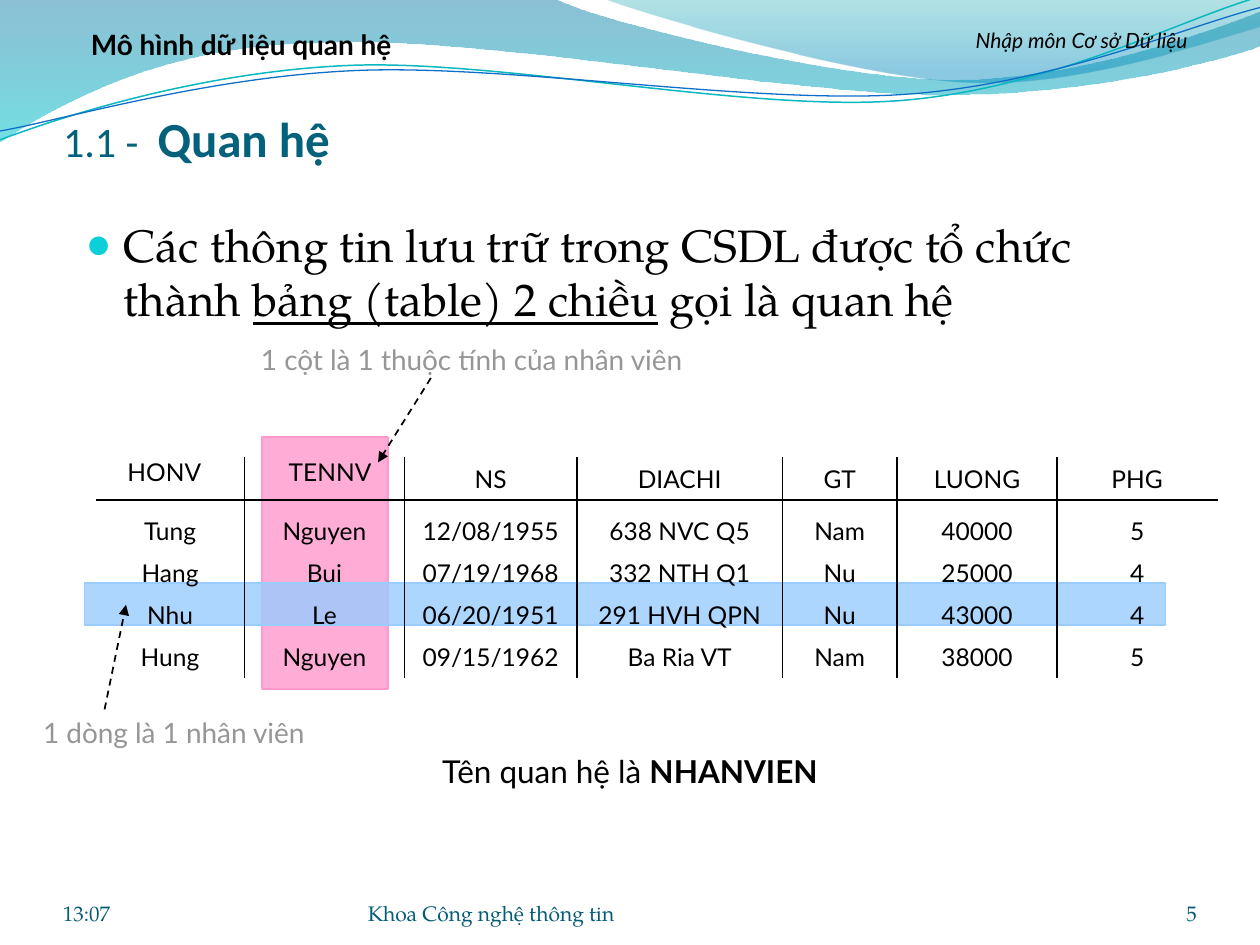
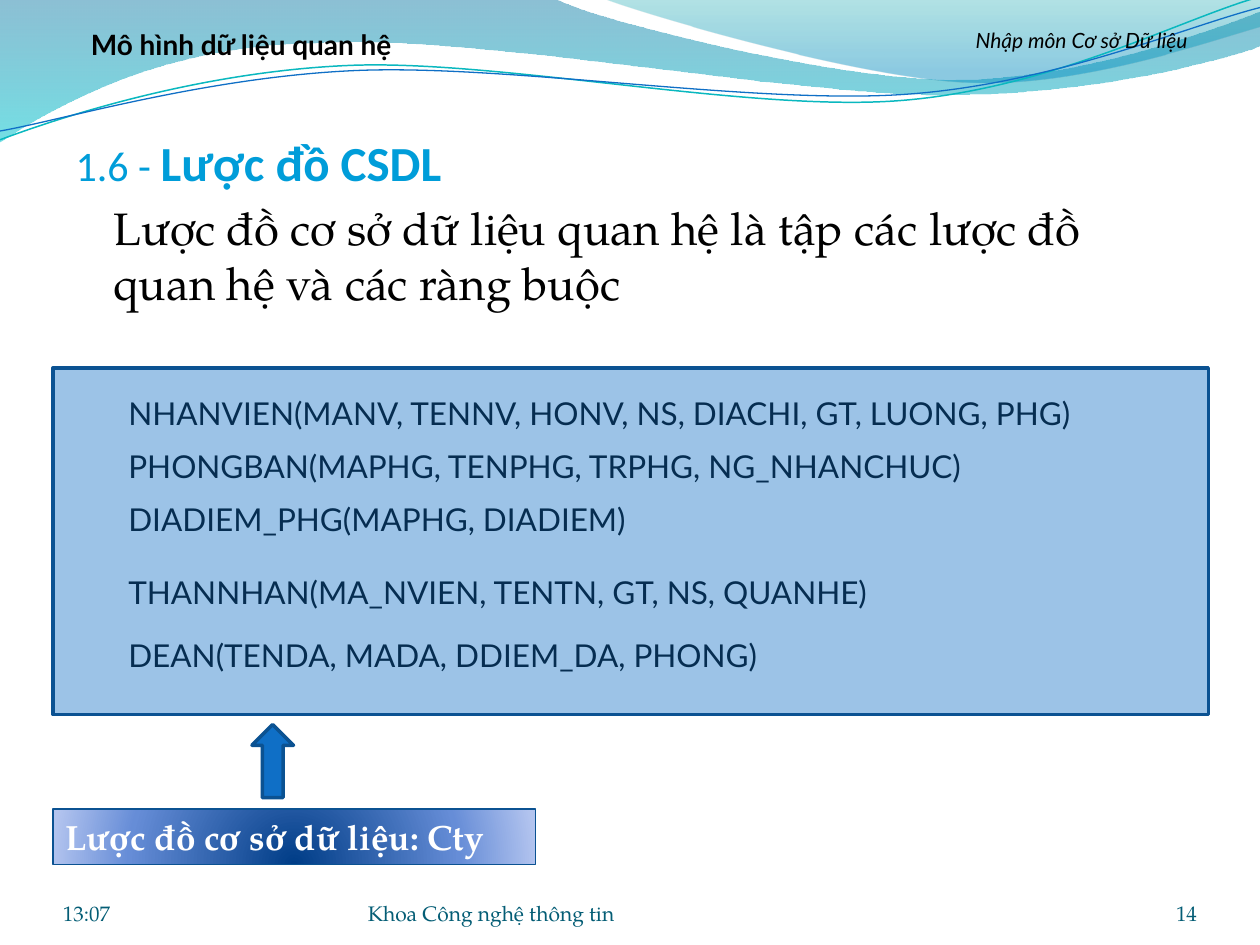
from lxml import etree
from pptx import Presentation
from pptx.dml.color import RGBColor
from pptx.enum.dml import MSO_LINE
from pptx.enum.shapes import MSO_CONNECTOR, MSO_SHAPE
from pptx.enum.text import MSO_ANCHOR, MSO_AUTO_SIZE, PP_ALIGN
from pptx.oxml import parse_xml
from pptx.oxml.ns import nsdecls, qn
from pptx.util import Inches, Pt

LEFT, CENTER, RIGHT = PP_ALIGN.LEFT, PP_ALIGN.CENTER, PP_ALIGN.RIGHT
TOP, BOTTOM = MSO_ANCHOR.TOP, MSO_ANCHOR.BOTTOM
DASH, STRAIGHT = MSO_LINE.DASH, MSO_CONNECTOR.STRAIGHT
RECT, ARROW = MSO_SHAPE.RECTANGLE, MSO_SHAPE.UP_ARROW
NO_FIT = MSO_AUTO_SIZE.NONE

BLACK = RGBColor(0x00, 0x00, 0x00)
WHITE = RGBColor(0xFF, 0xFF, 0xFF)
GRAY = RGBColor(0x96, 0x96, 0x96)
TEAL = RGBColor(0x04, 0x61, 0x7B)
SKY = RGBColor(0x00, 0x9D, 0xD9)
FOOT = RGBColor(0x04, 0x5D, 0x75)
AQUA = RGBColor(0x0A, 0xB8, 0xBF)
BLUE = RGBColor(0x0F, 0x6F, 0xC6)
NAVY = RGBColor(0x0B, 0x52, 0x92)
PINK = RGBColor(0xFF, 0x99, 0xCC)
PALE = RGBColor(0x99, 0xCC, 0xFF)
SANS, SERIF, HEAD = "Lato", "TeX Gyre Pagella", "Calibri"


def write(slide, box, text, size, font=SANS, color=BLACK, align=CENTER, foot=False):
    """Add a one-paragraph text box and return its paragraph."""
    frame = slide.shapes.add_textbox(*map(Inches, box)).text_frame
    frame.word_wrap = True
    if foot:
        frame.vertical_anchor = BOTTOM
        frame.margin_left = frame.margin_right = 0
        frame.margin_top = frame.margin_bottom = 0
    para = frame.paragraphs[0]
    para.add_run().text = text
    para.alignment = align
    para.font.size, para.font.name = Pt(size), font
    para.font.color.rgb = color
    return para


def paint(shape, stops, aim=""):
    """Fill with (place, colour, opacity) stops; one stop gives a plain fill."""
    inks = [f'<a:srgbClr val="{ink}"><a:alpha val="{alpha * 1000}"/></a:srgbClr>'
            for _, ink, alpha in stops]
    if len(stops) == 1:
        xml = f'<a:solidFill {nsdecls("a")}>{inks[0]}</a:solidFill>'
    else:
        marks = "".join(f'<a:gs pos="{stop[0] * 1000}">{ink}</a:gs>'
                        for stop, ink in zip(stops, inks))
        xml = f'<a:gradFill {nsdecls("a")}><a:gsLst>{marks}</a:gsLst>{aim}</a:gradFill>'
    shape.fill.background()
    props = shape.element.spPr
    props.replace(props.find(qn("a:noFill")), parse_xml(xml))
    shape.shadow.inherit = False


prs = Presentation()
prs.slide_width, prs.slide_height = Inches(10), Inches(7.5)
first = prs.slides.add_slide(prs.slide_layouts[1])
second = prs.slides.add_slide(prs.slide_layouts[1])

# Waves on the master: a pair is a line end, six numbers are a Bezier curve
DOWN = '<a:lin ang="5400000" scaled="1"/>'
WAVES = [
    ((-0.01, -0.01, 10.02, 1.14),
     [(0, -0.01), (4.4, -0.01), (4.76, 0.17, 6.64, 0.63, 7.58, 0.63),
      (8.53, 0.63, 9.58, 0.26, 10, 0.09), (10.01, 0.36),
      (9.83, 0.44, 8.7, 0.76, 7.46, 0.75), (6.22, 0.75, 3.82, 0.28, 2.57, 0.34),
      (1.29, 0.35, 0.46, 0.83, -0.01, 1.13), (0, -0.01)],
     [(0, "0074A1", 45), (100, "00C6CF", 55)], None, 0),
    ((4.79, -0.01, 5.21, 0.7),
     [(4.79, -0.01), (5.09, 0.11, 6.82, 0.62, 7.69, 0.65),
      (8.56, 0.69, 9.61, 0.32, 10, 0.21), (10, 0), (4.79, -0.01)],
     [(0, "00A1A9", 30), (80, "008BBF", 45)], None, 0),
    ((0, -0.02, 9.98, 1.13),
     [(0, 1.11), (0.48, 0.93, 1.58, 0.57, 2.77, 0.52),
      (3.95, 0.47, 5.93, 0.89, 7.13, 0.8), (8.33, 0.71, 9.38, 0.15, 9.98, -0.02)],
     None, AQUA, 0.85),
    ((0, 0.06, 10, 0.98),
     [(0, 1.04), (0.47, 0.96, 1.64, 0.61, 2.83, 0.56),
      (4.03, 0.51, 5.97, 0.83, 7.17, 0.75), (8.36, 0.67, 9.41, 0.21, 10, 0.06)],
     None, BLUE, 0.75),
]
tree = prs.slide_master.shapes.element
for n, (box, steps, stops, ink, width) in enumerate(WAVES):
    ends = [(Inches(step[-2]), Inches(step[-1])) for step in steps]
    pen = first.shapes.build_freeform(*ends[0])
    pen.add_line_segments(ends[1:], close=False)
    wave = pen.convert_to_shape()
    wave.left, wave.top, wave.width, wave.height = map(Inches, box)

    # Bend the straight steps into curves
    route = wave.element.spPr.find(".//" + qn("a:path"))
    route.set("w", str(wave.width))
    route.set("h", str(wave.height))
    for part, step in zip(list(route), steps):
        bend = etree.Element(qn("a:cubicBezTo")) if len(step) == 6 else part
        for dot in list(bend):
            bend.remove(dot)
        for x, y in zip(step[::2], step[1::2]):
            etree.SubElement(bend, qn("a:pt"), x=str(Inches(x) - wave.left),
                             y=str(Inches(y) - wave.top))
        if bend is not part:
            route.replace(part, bend)
    if stops:
        etree.SubElement(route, qn("a:close"))
        paint(wave, stops, DOWN)
        wave.line.fill.background()
    else:
        wave.fill.background()
        wave.line.color.rgb, wave.line.width = ink, Pt(width)
        wave.shadow.inherit = False
    wave.element[0][0].set("id", str(20 + n))
    tree.insert(2 + n, wave.element)

# Titles and lists; the second heading leads its list
title, body = first.placeholders
head, lead = second.placeholders
head.element.getparent().remove(head.element)
for holder, box, anchor in ((title, (0.5, 0.83, 9, 0.5), BOTTOM),
                            (body, (0.58, 1.67, 9, 5.29), TOP),
                            (lead, (0.5, 1, 9, 1.5), TOP)):
    holder.left, holder.top, holder.width, holder.height = map(Inches, box)
    holder.text_frame.auto_size = NO_FIT
    holder.text_frame.vertical_anchor = anchor
frame = title.text_frame
frame.margin_left = frame.margin_right = frame.margin_bottom = 0
title.text_frame.paragraphs[0].alignment = LEFT

topic = body.text_frame.paragraphs[0]
name = lead.text_frame.paragraphs[0]
text = lead.text_frame.add_paragraph()
for para, indent in ((topic, -0.3), (name, -0.3), (text, 0)):
    props = para._p.get_or_add_pPr()
    props.set("marL", str(Inches(0.3)))
    props.set("indent", str(Inches(indent)))
    if para is not text:
        para.space_before = Pt(0)
    if para is topic:
        ink = etree.SubElement(props, qn("a:buClr"))
        etree.SubElement(ink, qn("a:srgbClr"), val="0BD0D9")
        etree.SubElement(props, qn("a:buSzPct"), val="95000")
        etree.SubElement(props, qn("a:buChar"), char="●")
    else:
        etree.SubElement(props, qn("a:buNone"))

for para, ink, mark, words in ((frame.paragraphs[0], TEAL, "1.1 -  ", "Quan hệ"),
                               (name, SKY, "1.6 - ", "Lược đồ CSDL")):
    para.font.name, para.font.color.rgb = HEAD, ink
    for part, size, bold in ((mark, 24, False), (words, 28, True)):
        run = para.add_run()
        run.text, run.font.size, run.font.bold = part, Pt(size), bold

for para, parts in (
        (topic, ["Các thông tin lưu trữ trong CSDL được tổ chức thành ",
                 "bảng (table) 2 chiều", " gọi là quan hệ"]),
        (text, ["Lược đồ cơ sở dữ liệu quan hệ là tập các lược đồ "
                "quan hệ và các ràng buộc"])):
    para.font.name, para.font.size, para.font.color.rgb = SERIF, Pt(26), BLACK
    for k, part in enumerate(parts):
        run = para.add_run()
        run.text = part
        if k == 1:
            run.font.underline = True

# Headers and footers
for slide, page in ((first, "5"), (second, "14")):
    write(slide, (7.17, 0.17, 2.83, 0.38), "Nhập môn Cơ sở Dữ liệu", 12).font.italic = True
    write(slide, (0.25, 0.17, 3.33, 0.37), "Mô hình dữ liệu quan hệ", 16).font.bold = True
    for x, width, label, align in ((0.5, 2.33, "13:07", LEFT),
                                   (2.92, 3.67, "Khoa Công nghệ thông tin", LEFT),
                                   (8.67, 0.83, page, RIGHT)):
        write(slide, (x, 6.95, width, 0.4), label, 12, SERIF, FOOT, align, foot=True)

# Slide 1: marked column and row, with their notes
NOTES = [
    ((2.08, 3.47, 1, 2), PINK, (1.83, 2.67, 3.83, 0.37),
     "1 cột là 1 thuộc tính của nhân viên"),
    ((0.67, 4.63, 8.58, 0.33), PALE, (0.17, 5.63, 2.42, 0.37),
     "1 dòng là 1 nhân viên"),
]
for box, ink, spot, note in NOTES:
    band = first.shapes.add_shape(RECT, *map(Inches, box))
    paint(band, [(0, ink, 80)])
    band.line.color.rgb, band.line.width = ink, Pt(1)
    write(first, spot, note, 16, color=GRAY)

# Slide 1: dashed arrows and the rules between heads, rows and columns
EDGES = [0.76, 1.94, 3.21, 4.58, 6.21, 7.12, 8.39, 9.66]
ARROWS = [(3.42, 3, 3, 3.67), (0.83, 5.63, 1, 4.8)]
RULES = [(0.76, 3.97, 9.67, 3.97)] + [(x, 3.63, x, 5.38) for x in EDGES[1:-1]]
for ends in ARROWS + RULES:
    link = first.shapes.add_connector(STRAIGHT, *map(Inches, ends))
    link.line.color.rgb, link.line.width = BLACK, Pt(1)
    if ends in ARROWS:
        link.line.dash_style = DASH
        etree.SubElement(link.line._get_or_add_ln(), qn("a:tailEnd"), type="triangle")
    etree.SubElement(link.element.spPr, qn("a:effectLst"))

# Slide 1: staff, heads first; two heads sit off the grid
STAFF = [
    ("HONV", "TENNV", "NS", "DIACHI", "GT", "LUONG", "PHG"),
    ("Tung", "Nguyen", "12/08/1955", "638 NVC Q5", "Nam", "40000", "5"),
    ("Hang", "Bui", "07/19/1968", "332 NTH Q1", "Nu", "25000", "4"),
    ("Nhu", "Le", "06/20/1951", "291 HVH QPN", "Nu", "43000", "4"),
    ("Hung", "Nguyen", "09/15/1962", "Ba Ria VT", "Nam", "38000", "5"),
]
MOVED = {"HONV": (0.67, 3.58, 1.27, 0.33), "TENNV": (2.03, 3.58, 1.18, 0.33)}
for r, items in enumerate(STAFF):
    y = 4.05 + (r - 1) / 3 if r else 3.63
    for item, x, end in zip(items, EDGES, EDGES[1:]):
        write(first, MOVED.get(item, (x, y, end - x, 0.33)), item, 14)

para = write(first, (2.75, 5.92, 4.5, 0.4), "Tên quan hệ là ", 18)
run = para.add_run()
run.text, run.font.bold = "NHANVIEN", True

# Slide 2: schema lines under a tinted panel
SCHEMA = [
    (3.08, "NHANVIEN(MANV, TENNV, HONV, NS, DIACHI, GT, LUONG, PHG)"),
    (3.5, "PHONGBAN(MAPHG, TENPHG, TRPHG, NG_NHANCHUC)"),
    (3.92, "DIADIEM_PHG(MAPHG, DIADIEM)"),
    (4.5, "THANNHAN(MA_NVIEN, TENTN, GT, NS, QUANHE)"),
    (5, "DEAN(TENDA, MADA, DDIEM_DA, PHONG)"),
]
for y, line in SCHEMA:
    write(second, (0.92, y, 8.58, 0.4), line, 18, align=LEFT)
panel = second.shapes.add_shape(RECT, *map(Inches, (0.42, 2.92, 9.17, 2.75)))
paint(panel, [(0, BLUE, 41)])

# Slide 2: label and arrow
label = second.shapes.add_shape(RECT, *map(Inches, (0.42, 6.42, 3.83, 0.44)))
paint(label, [(0, "003D87", 100), (68, "668DD7", 100), (100, "B3C4EF", 100)],
      '<a:path path="circle"><a:fillToRect l="50000" t="130000" r="50000" b="-30000"/></a:path>')
arrow = second.shapes.add_shape(ARROW, *map(Inches, (2, 5.75, 0.33, 0.58)))
paint(arrow, [(0, BLUE, 100)])
for shape, width in ((panel, 2), (label, 0.75), (arrow, 2)):
    shape.line.color.rgb, shape.line.width = NAVY, Pt(width)
para = label.text_frame.paragraphs[0]
para.text, para.alignment = "Lược đồ cơ sở dữ liệu: Cty", LEFT
para.font.name, para.font.size, para.font.bold = SERIF, Pt(20), True
para.font.color.rgb = WHITE

prs.save("out.pptx")
